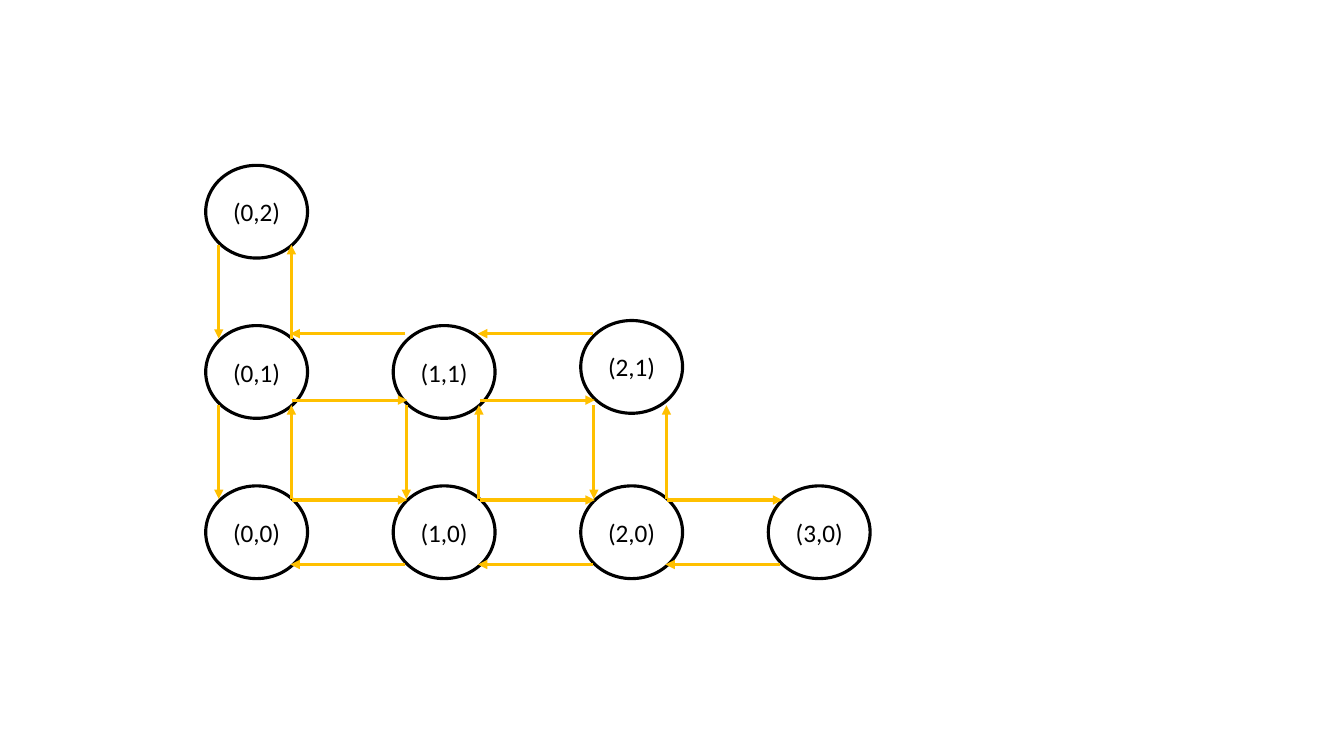
from pptx import Presentation
from pptx.dml.color import RGBColor
from pptx.enum.shapes import MSO_CONNECTOR, MSO_SHAPE
from pptx.enum.text import MSO_ANCHOR, PP_ALIGN
from pptx.oxml.ns import qn
from pptx.util import Inches, Pt
from lxml.etree import SubElement

COLORS = {"state": "000000", "transition": "FFC000"}
LEFT, BOTTOM_TOP = 2.04, 4.82
COLUMN, ROW = 1.86, 1.59
STATE_WIDTH, STATE_HEIGHT = 1.01, 0.92
LINE_WIDTH = Pt(2.25)
STATES_PER_ROW = [4, 3, 1]
RAISED = {(2, 1): 0.05}
ARRIVAL_OFFSETS = [0.14, 0.74]
DEPARTURE_OFFSETS = [0.78, 0.08]


def corner(column, row):
    return LEFT + column * COLUMN, BOTTOM_TOP - row * ROW


def style_line(line, color):
    line.color.rgb = RGBColor.from_string(COLORS[color])
    line.width = LINE_WIDTH


def add_state(slide, column, row):
    left, top = corner(column, row)
    top -= RAISED.get((column, row), 0)
    shape = slide.shapes.add_shape(
        MSO_SHAPE.OVAL, Inches(left), Inches(top),
        Inches(STATE_WIDTH), Inches(STATE_HEIGHT))
    shape.shadow.inherit = False
    shape.fill.background()
    style_line(shape.line, "state")
    frame = shape.text_frame
    frame.word_wrap = False
    frame.vertical_anchor = MSO_ANCHOR.MIDDLE
    paragraph = frame.paragraphs[0]
    paragraph.text = f"({column},{row})"
    paragraph.alignment = PP_ALIGN.CENTER
    paragraph.font.name = "Calibri"
    paragraph.font.size = Pt(18)
    paragraph.font.color.rgb = RGBColor.from_string(COLORS["state"])


def add_arrow(slide, start, end):
    connector = slide.shapes.add_connector(
        MSO_CONNECTOR.STRAIGHT, *(Inches(value) for value in (*start, *end)))
    style_line(connector.line, "transition")
    properties = connector._element.spPr
    SubElement(properties.find(qn("a:ln")), qn("a:tailEnd"), type="triangle")
    SubElement(properties, qn("a:effectLst"))


def add_horizontal_pair(slide, column, row):
    left, top = corner(column, row)
    start, end = left + 0.86, left + 2
    arrival = top + ARRIVAL_OFFSETS[row]
    departure = top + DEPARTURE_OFFSETS[row]
    add_arrow(slide, (start, arrival), (end, arrival))
    add_arrow(slide, (end - 0.02, departure), (start - 0.02, departure))


def add_vertical_pair(slide, column, row):
    left, top = corner(column, row)
    lower, upper = top + 0.13, top - 0.8
    birth, death = left + 0.85, left + 0.13
    add_arrow(slide, (birth, lower), (birth, upper))
    add_arrow(slide, (death, upper), (death, lower))


def main():
    presentation = Presentation()
    presentation.slide_width = Inches(13.33)
    presentation.slide_height = Inches(7.5)
    slide = presentation.slides.add_slide(presentation.slide_layouts[6])
    for row, count in enumerate(STATES_PER_ROW):
        for column in range(count):
            add_state(slide, column, row)
    for row, count in enumerate(STATES_PER_ROW):
        for column in range(count - 1):
            add_horizontal_pair(slide, column, row)
    for row, count in enumerate(STATES_PER_ROW[1:]):
        for column in range(count):
            add_vertical_pair(slide, column, row)
    presentation.save("out.pptx")


if __name__ == "__main__":
    main()
